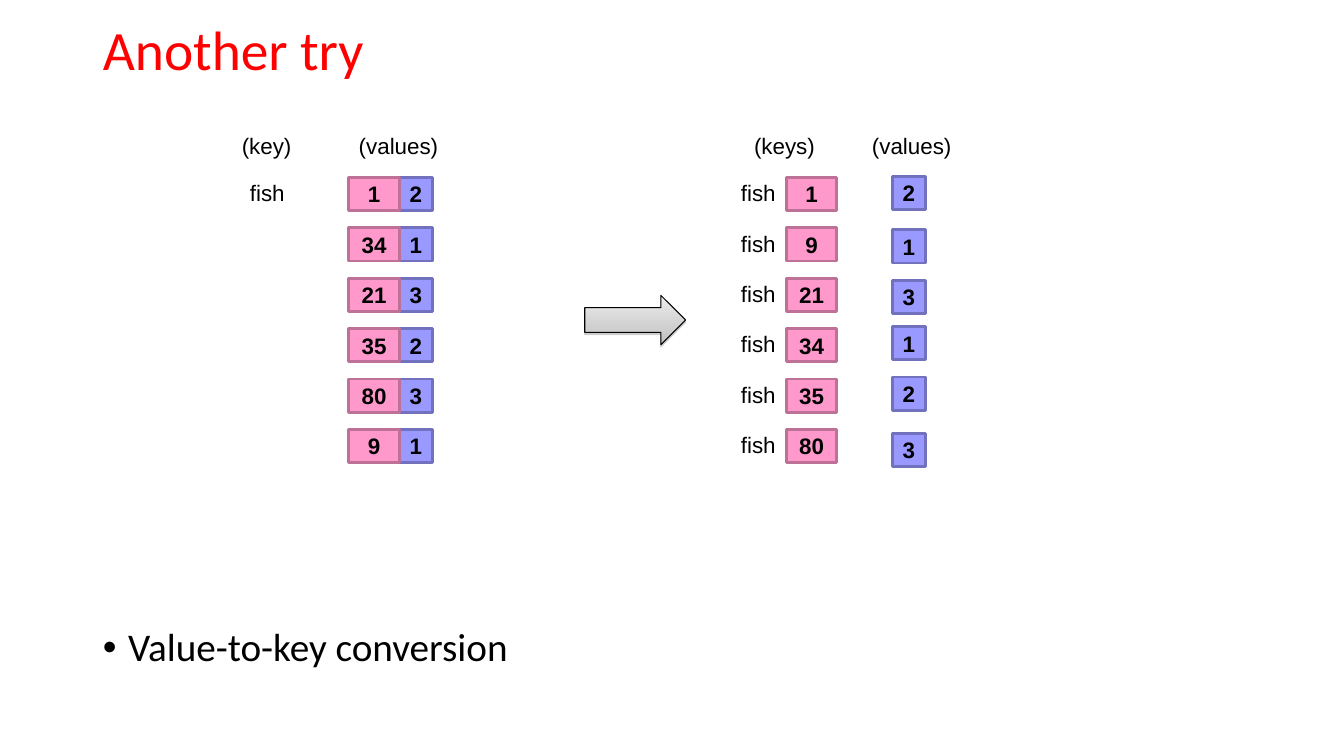
from copy import deepcopy

from pptx import Presentation
from pptx.dml.color import RGBColor as RGB
from pptx.enum.shapes import MSO_SHAPE as SHAPE
from pptx.enum.text import MSO_ANCHOR as ANCHOR, MSO_AUTO_SIZE as AUTO, PP_ALIGN as ALIGN
from pptx.oxml import parse_xml
from pptx.oxml.ns import nsdecls, qn
from pptx.util import Inches, Pt

COLORS = {
    "title": "FF0000", "text": "000000",
    "pink": "FF99CC", "pink_line": "BD7197",
    "blue": "9999FF", "blue_line": "7171BD",
    "light": "EDEDED", "mid": "D0D0D0", "dark": "BCBCBC",
    "shadow": "808080",
}


class Slide:
    heading_font = "Calibri"
    label_font = "Arial"
    label_size = 16

    def __init__(self, prs):
        self.s = prs.slides.add_slide(prs.slide_layouts[1])

    def color(self, name):
        return RGB.from_string(COLORS[name])

    def run(self, p, text, size, font, color="text", bold=False):
        r = p.add_run()
        r.text = text
        r.font.size = Pt(size)
        r.font.name = font
        r.font.bold = bold
        r.font.color.rgb = self.color(color)

    def placeholder(self, idx, text, y, h, size, color):
        sp = self.s.placeholders[idx]
        sp.left, sp.top, sp.width, sp.height = map(Inches, (0.92, y, 11.5, h))
        tf = sp.text_frame
        tf.auto_size = AUTO.NONE
        p = tf.paragraphs[0]
        p.alignment = ALIGN.LEFT
        p.line_spacing = 0.9
        self.run(p, text, size, self.heading_font, color)
        return tf

    def title(self, text):
        tf = self.placeholder(0, text, 0.24, 0.57, 39.6, "title")
        tf.vertical_anchor = ANCHOR.MIDDLE

    def bullet(self, text):
        tf = self.placeholder(1, text, 6.18, 0.77, 28, "text")
        tf.vertical_anchor = ANCHOR.TOP
        p = tf.paragraphs[0]
        p.space_before = Pt(10)
        pPr = p._p.get_or_add_pPr()
        pPr.set("marL", str(Inches(0.25)))
        pPr.set("indent", str(-Inches(0.25)))
        pPr.append(parse_xml(f'<a:buFont {nsdecls("a")} typeface="Arial"/>'))
        pPr.append(parse_xml(f'<a:buChar {nsdecls("a")} char="•"/>'))

    def label(self, text, x, y, w):
        tf = self.s.shapes.add_textbox(*map(Inches, (x, y, w, 0.37))).text_frame
        tf.word_wrap = False
        tf.auto_size = AUTO.SHAPE_TO_FIT_TEXT
        self.run(tf.paragraphs[0], text, self.label_size, self.label_font)

    def shape(self, kind, x, y, w, h, line, line_width):
        sp = self.s.shapes.add_shape(kind, *map(Inches, (x, y, w, h)))
        sp.line.color.rgb = self.color(line)
        sp.line.width = Pt(line_width)
        sp.shadow.inherit = False
        return sp

    def box(self, text, x, y, w, fill):
        sp = self.shape(SHAPE.RECTANGLE, x, y, w, 0.33, fill + "_line", 2)
        sp.fill.solid()
        sp.fill.fore_color.rgb = self.color(fill)
        tf = sp.text_frame
        tf.margin_left = tf.margin_right = tf.margin_top = tf.margin_bottom = 0
        tf.vertical_anchor = ANCHOR.MIDDLE
        p = tf.paragraphs[0]
        p.alignment = ALIGN.CENTER
        self.run(p, text, self.label_size, self.label_font, bold=True)

    def arrow(self, x, y, w, h):
        sp = self.shape(SHAPE.RIGHT_ARROW, x, y, w, h, "text", 0.75)
        sp.fill.gradient()
        sp.fill.gradient_angle = 270
        first = sp._element.spPr.find(".//" + qn("a:gs"))
        first.addnext(deepcopy(first))
        stops = zip(sp.fill.gradient_stops, ("light", "mid", "dark"), (0, 0.65, 1))
        for stop, color, position in stops:
            stop.color.rgb = self.color(color)
            stop.position = position
        sp._element.spPr.find(qn("a:effectLst")).append(parse_xml(
            f'<a:outerShdw {nsdecls("a")} blurRad="0" dist="{Pt(1.6)}" dir="5400000" '
            f'rotWithShape="0"><a:srgbClr val="{COLORS["shadow"]}">'
            '<a:alpha val="38000"/></a:srgbClr></a:outerShdw>'))


def main():
    prs = Presentation()
    prs.slide_width, prs.slide_height = Inches(13.33), Inches(7.5)
    s = Slide(prs)
    s.title("Another try")
    s.bullet("Value-to-key conversion")

    headers = (("(key)", 2.3, 0.7), ("(values)", 3.46, 1),
               ("(keys)", 7.38, 0.81), ("(values)", 8.55, 1))
    for text, x, w in headers:
        s.label(text, x, 1.26, w)

    top, step = 1.76, 0.5
    s.label("fish", 2.38, top - 0.03, 0.55)
    pairs = ((1, 2), (34, 1), (21, 3), (35, 2), (80, 3), (9, 1))
    for i, (key, value) in enumerate(pairs):
        y = top + i * step
        s.box(str(value), 3.96, y, 0.33, "blue")
        s.box(str(key), 3.46, y, 0.5, "pink")

    s.arrow(5.8, 2.93, 1, 0.49)

    keys = (1, 9, 21, 34, 35, 80)
    values = ((2, 1.75), (1, 2.28), (3, 2.78), (1, 3.24), (2, 3.74), (3, 4.3))
    for i, (key, (value, value_y)) in enumerate(zip(keys, values)):
        y = top + i * step
        s.label("fish", 7.25, y - 0.03, 0.55)
        s.box(str(key), 7.8, y, 0.5, "pink")
        s.box(str(value), 8.85, value_y, 0.33, "blue")

    prs.save("out.pptx")


if __name__ == "__main__":
    main()
